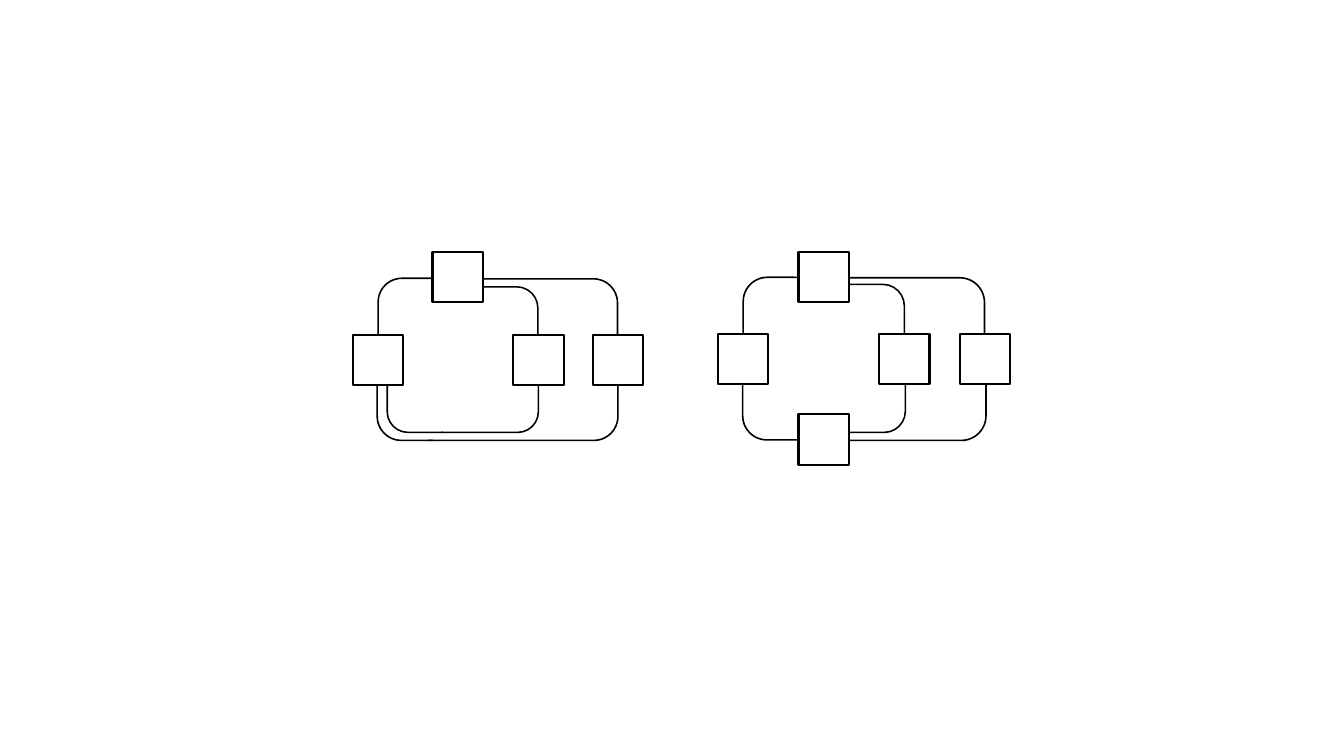
"""Draw two node graphs whose square nodes are joined by rounded wires."""
from dataclasses import dataclass

from pptx import Presentation
from pptx.dml.color import RGBColor
from pptx.enum.shapes import MSO_SHAPE
from pptx.shapes.autoshape import Shape
from pptx.slide import Slide
from pptx.util import Inches, Pt


@dataclass(frozen=True)
class Theme:
    """Hold the colours and sizes of the slide."""
    ink: RGBColor = RGBColor(0, 0, 0)
    paper: RGBColor = RGBColor(255, 255, 255)
    edge: float = 1.5
    wire: float = 1
    side: float = 0.5
    bend: tuple[float, ...] = (0.006, 0.002, 0, 0.438)


@dataclass(frozen=True)
class Node:
    """Place a square by its top left corner."""
    left: float
    top: float
    solid: bool = False


@dataclass(frozen=True)
class Wire:
    """Place a bent wire by its box before turning."""
    left: float
    top: float
    width: float
    height: float
    turn: int = 0


@dataclass(frozen=True)
class Graph:
    """Group the nodes and wires of one graph."""
    nodes: tuple[Node, ...]
    wires: tuple[Wire, ...]


THEME = Theme()
GRAPHS = (
    Graph(
        (Node(7.92, 2.5), *(Node(x, 3.31) for x in (7.12, 8.72, 9.52)),
         Node(7.92, 4.11, True)),
        (Wire(8.81, 2.36, 0.56, 1.35, 90), Wire(8.45, 2.79, 0.49, 0.55, 90),
         Wire(7.37, 2.75, 0.55, 0.55), Wire(7.36, 3.81, 0.56, 0.55, 270),
         Wire(8.43, 3.81, 0.55, 0.48, 180), Wire(8.43, 3.81, 1.35, 0.56, 180)),
    ),
    Graph(
        (Node(4.29, 2.5), *(Node(x, 3.32) for x in (3.5, 5.09, 5.88))),
        (Wire(3.75, 2.76, 0.54, 0.55), Wire(5.18, 2.37, 0.55, 1.34, 90),
         Wire(4.82, 2.81, 0.48, 0.55, 90), Wire(3.88, 3.78, 0.47, 0.55, 270),
         Wire(3.74, 3.82, 0.55, 0.55, 270), Wire(4.38, 3.82, 0.96, 0.47, 180),
         Wire(4.25, 3.82, 1.88, 0.55, 180)),
    ),
)


def style(shape: Shape, weight: float, fill: RGBColor | None) -> None:
    """Set the outline and fill of a shape."""
    shape.shadow.inherit = False
    shape.line.color.rgb = THEME.ink
    shape.line.width = Pt(weight)
    if fill is None:
        shape.fill.background()
    else:
        shape.fill.solid()
        shape.fill.fore_color.rgb = fill


def add_node(slide: Slide, node: Node) -> None:
    """Draw one square node."""
    side = Inches(THEME.side)
    shape = slide.shapes.add_shape(
        MSO_SHAPE.RECTANGLE, Inches(node.left), Inches(node.top), side, side)
    style(shape, THEME.edge, THEME.paper if node.solid else None)


def add_wire(slide: Slide, wire: Wire) -> None:
    """Draw one rounded wire."""
    shape = slide.shapes.add_shape(
        MSO_SHAPE.BENT_ARROW, Inches(wire.left), Inches(wire.top),
        Inches(wire.width), Inches(wire.height))
    shape.rotation = wire.turn
    for slot, value in enumerate(THEME.bend):
        shape.adjustments[slot] = value
    style(shape, THEME.wire, THEME.ink)


def main() -> None:
    """Build and save the slide."""
    deck = Presentation()
    deck.slide_width, deck.slide_height = Inches(13.33), Inches(7.5)
    slide = deck.slides.add_slide(deck.slide_layouts[6])
    for graph in GRAPHS:
        for node in graph.nodes:
            add_node(slide, node)
        for wire in graph.wires:
            add_wire(slide, wire)
    deck.save("out.pptx")


if __name__ == "__main__":
    main()
